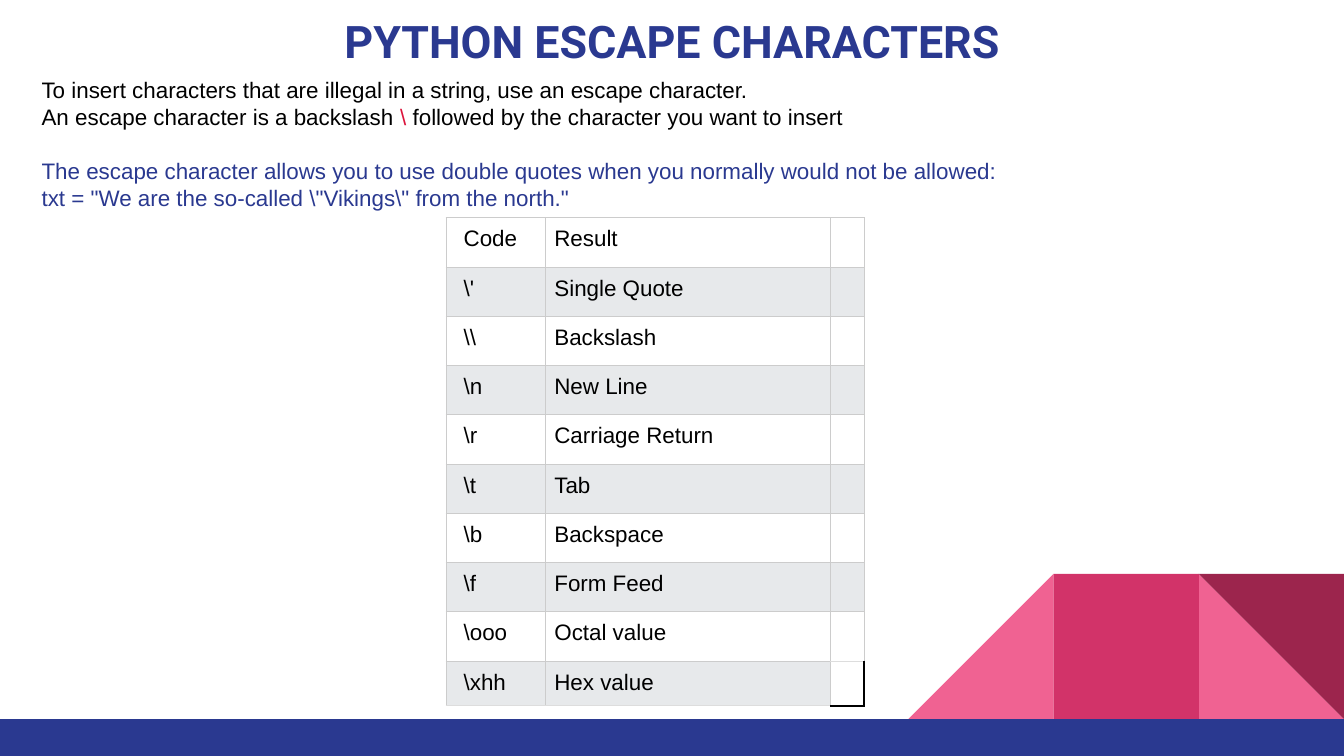
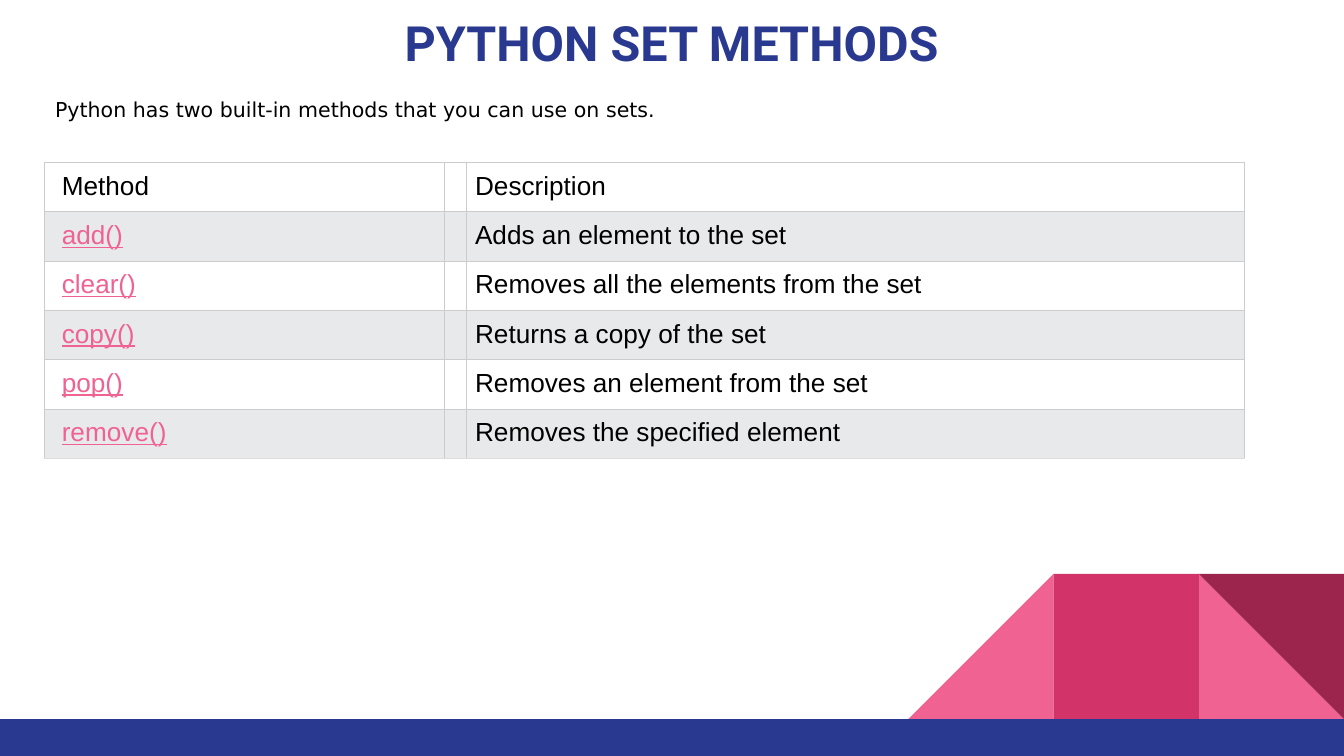
from dataclasses import dataclass

from lxml import etree
from pptx import Presentation
from pptx.dml.color import RGBColor
from pptx.enum import shapes, text
from pptx.oxml import ns
from pptx.util import Emu, Inches, Length, Pt

WHITE = RGBColor(0xFF, 0xFF, 0xFF)
BLACK = RGBColor(0x00, 0x00, 0x00)
NAVY = RGBColor(0x2A, 0x39, 0x90)
CRIMSON = RGBColor(0xDC, 0x14, 0x3C)
PINK = RGBColor(0xF0, 0x62, 0x92)
ROSE = RGBColor(0xD2, 0x33, 0x69)
WINE = RGBColor(0x9C, 0x25, 0x4D)
BAND_GREY = RGBColor(0xE7, 0xE9, 0xEB)
RULE_GREY = RGBColor(0xCC, 0xCC, 0xCC)
END_GREY = RGBColor(0xDD, 0xDD, 0xDD)

SLIDE_WIDTH = Inches(10)
SLIDE_HEIGHT = Emu(SLIDE_WIDTH * 9 // 16)
FOOTER_TOP = Inches(5.35)
TILE = Inches(1.08)
ROW_HEIGHT = Emu(Inches(1.1) // 3)
CELL_INSET = Pt(4.68)
FIRST_INSET = Inches(0.13)
RULE_WIDTH = Pt(0.6)

RECT = shapes.MSO_SHAPE.RECTANGLE
TRIANGLE = shapes.MSO_SHAPE.RIGHT_TRIANGLE


@dataclass(frozen=True)
class Block:
    kind: shapes.MSO_SHAPE
    left: Length
    top: Length
    width: Length
    height: Length
    color: RGBColor
    rotation: float = 0
    mirrored: bool = False


@dataclass(frozen=True)
class Phrase:
    text: str
    color: RGBColor = BLACK


@dataclass(frozen=True)
class Grid:
    left: Length
    top: Length
    columns: tuple[Length, ...]
    rows: tuple[tuple[str, ...], ...]
    size: float
    methods_linked: bool = False


def tile(kind: shapes.MSO_SHAPE, from_right: int, color: RGBColor, **turn) -> Block:
    """A footer tile, counted in tile widths from the right edge."""
    return Block(kind, Emu(SLIDE_WIDTH - from_right * TILE), Emu(FOOTER_TOP - TILE),
                 TILE, TILE, color, **turn)


FOOTER = (
    tile(TRIANGLE, 1, PINK),
    tile(TRIANGLE, 3, PINK, mirrored=True),
    tile(RECT, 2, ROSE),
    tile(TRIANGLE, 1, WINE, rotation=180),
    Block(RECT, Inches(0), FOOTER_TOP, SLIDE_WIDTH, Emu(SLIDE_HEIGHT - FOOTER_TOP), NAVY),
)

ESCAPE_INTRO = (
    (Phrase("To insert characters that are illegal in a string, use an escape character."),),
    (Phrase("An escape character is a backslash "), Phrase("\\", CRIMSON),
     Phrase(" followed by the character you want to insert")),
    (Phrase("The escape character allows you to use double quotes when you normally "
            "would not be allowed:", NAVY),),
    (Phrase(r'txt = "We are the so-called \"Vikings\" from the north."', NAVY),),
)
EXAMPLE_START = 2

ESCAPE_CODES = Grid(
    Inches(3.32), Inches(1.62), (Inches(0.74), Inches(2.12), Inches(0.25)),
    (
        ("Code", "Result", ""),
        (r"\'", "Single Quote", ""),
        (r"\\", "Backslash", ""),
        (r"\n", "New Line", ""),
        (r"\r", "Carriage Return", ""),
        (r"\t", "Tab", ""),
        (r"\b", "Backspace", ""),
        (r"\f", "Form Feed", ""),
        (r"\ooo", "Octal value", ""),
        (r"\xhh", "Hex value", ""),
    ),
    size=12,
)

SET_METHODS = (
    ("Method", "", "Description"),
    ("add()", "", "Adds an element to the set"),
    ("clear()", "", "Removes all the elements from the set"),
    ("copy()", "", "Returns a copy of the set"),
    ("pop()", "", "Removes an element from the set"),
    ("remove()", "", "Removes the specified element"),
)
METHODS_LEFT, METHODS_TOP = Inches(0.33), Inches(1.21)
METHOD_COLUMNS = (Inches(2.98), Inches(0.16), Inches(5.79))
METHODS_SPLIT = 4


def write(paragraph, content: str, *, size: float, font: str = "Arial",
          color: RGBColor = BLACK, bold: bool = False, underline: bool = False) -> None:
    run = paragraph.add_run()
    run.text = content
    run.font.size = Pt(size)
    run.font.name = font
    run.font.color.rgb = color
    run.font.bold = bold
    run.font.underline = underline


def add_block(slide, block: Block):
    shape = slide.shapes.add_shape(block.kind, block.left, block.top, block.width, block.height)
    shape.shadow.inherit = False
    shape.fill.solid()
    shape.fill.fore_color.rgb = block.color
    shape.line.fill.background()
    shape.rotation = block.rotation
    if block.mirrored:
        shape.element.spPr.find(ns.qn("a:xfrm")).set("flipH", "1")
    return shape


def share_footer(slide) -> None:
    """Draw the footer once and hand it to the layout that all slides use."""
    for block in FOOTER:
        shape = add_block(slide, block)
        slide.slide_layout.shapes.element.append(shape.element)


def set_title(slide, content: str, height: Length, size: float) -> None:
    title = slide.shapes.title
    title.left, title.top, title.width, title.height = Inches(0), Inches(0), SLIDE_WIDTH, height
    frame = title.text_frame
    frame.auto_size = text.MSO_AUTO_SIZE.NONE
    frame.vertical_anchor = text.MSO_ANCHOR.TOP
    frame.margin_left = frame.margin_right = Inches(0.1)
    frame.margin_top = frame.margin_bottom = Inches(0.1)
    frame.paragraphs[0].alignment = text.PP_ALIGN.CENTER
    write(frame.paragraphs[0], content, size=size, font="Roboto", color=NAVY, bold=True)


def add_intro(slide, panel: Block, lines: tuple[tuple[Phrase, ...], ...],
              *, size: float, font: str = "Arial") -> None:
    frame = add_block(slide, panel).text_frame
    frame.word_wrap = True
    frame.vertical_anchor = text.MSO_ANCHOR.TOP
    frame.margin_left = frame.margin_right = Inches(0)
    frame.margin_top = frame.margin_bottom = Inches(0.05)
    for index, phrases in enumerate(lines):
        paragraph = frame.add_paragraph() if index else frame.paragraphs[0]
        paragraph.alignment = text.PP_ALIGN.LEFT
        if index == EXAMPLE_START:
            paragraph.space_before = Pt(14.4)
        for phrase in phrases:
            write(paragraph, phrase.text, size=size, font=font, color=phrase.color)


def set_borders(cell, *, left: RGBColor = RULE_GREY, right: RGBColor = RULE_GREY,
                top: RGBColor = RULE_GREY, bottom: RGBColor = RULE_GREY) -> None:
    properties = cell._tc.get_or_add_tcPr()
    sides = {"a:lnL": left, "a:lnR": right, "a:lnT": top, "a:lnB": bottom}
    for position, (tag, color) in enumerate(sides.items()):
        width = Pt(1) if color == BLACK else RULE_WIDTH
        line = etree.Element(ns.qn(tag), w=str(int(width)))
        fill = etree.SubElement(line, ns.qn("a:solidFill"))
        etree.SubElement(fill, ns.qn("a:srgbClr"), val=str(color))
        properties.insert(position, line)


def add_grid(slide, grid: Grid, first_band: int = 0):
    table = slide.shapes.add_table(
        len(grid.rows), len(grid.columns), grid.left, grid.top,
        Emu(sum(grid.columns)), Emu(ROW_HEIGHT * len(grid.rows))).table
    table.first_row = table.horz_banding = False
    for column, width in zip(table.columns, grid.columns):
        column.width = width
    last = len(grid.rows) - 1
    for r, row in enumerate(grid.rows):
        table.rows[r].height = ROW_HEIGHT
        for c, content in enumerate(row):
            cell = table.cell(r, c)
            cell.margin_left = FIRST_INSET if c == 0 else CELL_INSET
            cell.margin_right = cell.margin_top = cell.margin_bottom = CELL_INSET
            cell.fill.solid()
            cell.fill.fore_color.rgb = BAND_GREY if (r + first_band) % 2 else WHITE
            set_borders(cell, bottom=END_GREY if r == last else RULE_GREY)
            paragraph = cell.text_frame.paragraphs[0]
            if content:
                linked = grid.methods_linked and c == 0 and r + first_band > 0
                write(paragraph, content, size=grid.size,
                      color=PINK if linked else BLACK, underline=linked)
            else:
                paragraph.font.size = Pt(grid.size)
                cell.margin_left = cell.margin_right = Inches(0)
    return table


def open_last_cell(table) -> None:
    """Leave the bottom right cell unfilled, with a black outer edge."""
    table.rows[len(table.rows) - 1].height = Inches(0.33)
    cell = table.cell(len(table.rows) - 1, len(table.columns) - 1)
    properties = cell._tc.get_or_add_tcPr()
    for child in list(properties):
        properties.remove(child)
    cell.fill.background()
    set_borders(cell, top=END_GREY, right=BLACK, bottom=BLACK)


def build_escape_slide(slide) -> None:
    set_title(slide, "PYTHON ESCAPE CHARACTERS", Inches(0.5), 24)
    panel = Block(RECT, Inches(0.31), Inches(0.52), Inches(9.17), Inches(1.32), WHITE)
    add_intro(slide, panel, ESCAPE_INTRO, size=12)
    open_last_cell(add_grid(slide, ESCAPE_CODES))


def build_methods_slide(slide) -> None:
    set_title(slide, "PYTHON SET METHODS", Inches(0.66), 26)
    panel = Block(RECT, Inches(0.41), Inches(0.67), Inches(8.93), Inches(0.29), WHITE)
    sentence = Phrase("Python has two built-in methods that you can use on sets.")
    add_intro(slide, panel, ((sentence,),), size=11, font="DejaVu Sans")
    for start, rows in ((0, SET_METHODS[:METHODS_SPLIT]),
                        (METHODS_SPLIT, SET_METHODS[METHODS_SPLIT:])):
        grid = Grid(METHODS_LEFT, Emu(METHODS_TOP + start * ROW_HEIGHT), METHOD_COLUMNS,
                    rows, size=14, methods_linked=True)
        add_grid(slide, grid, first_band=start)


def main() -> None:
    deck = Presentation()
    deck.slide_width, deck.slide_height = SLIDE_WIDTH, SLIDE_HEIGHT
    title_only = deck.slide_layouts[5]
    escapes, methods = (deck.slides.add_slide(title_only) for _ in range(2))
    share_footer(escapes)
    build_escape_slide(escapes)
    build_methods_slide(methods)
    deck.save("out.pptx")


if __name__ == "__main__":
    main()
